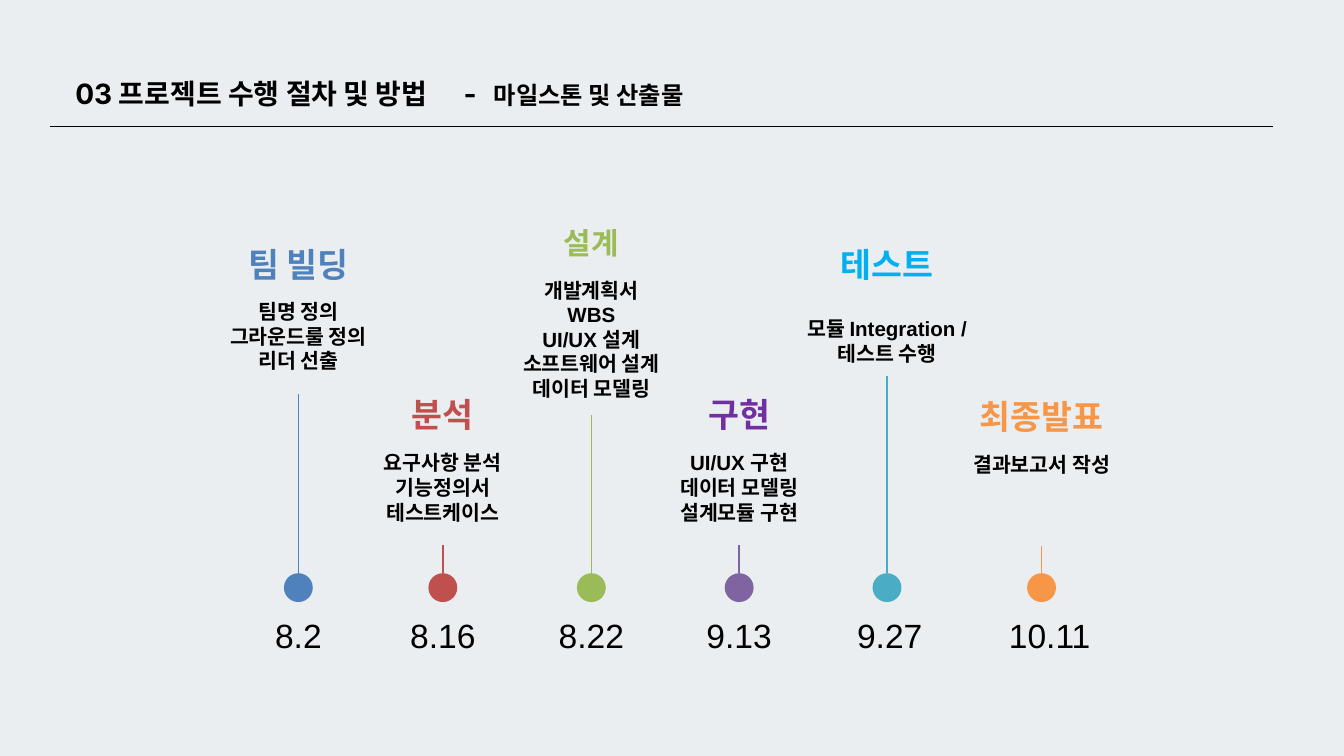
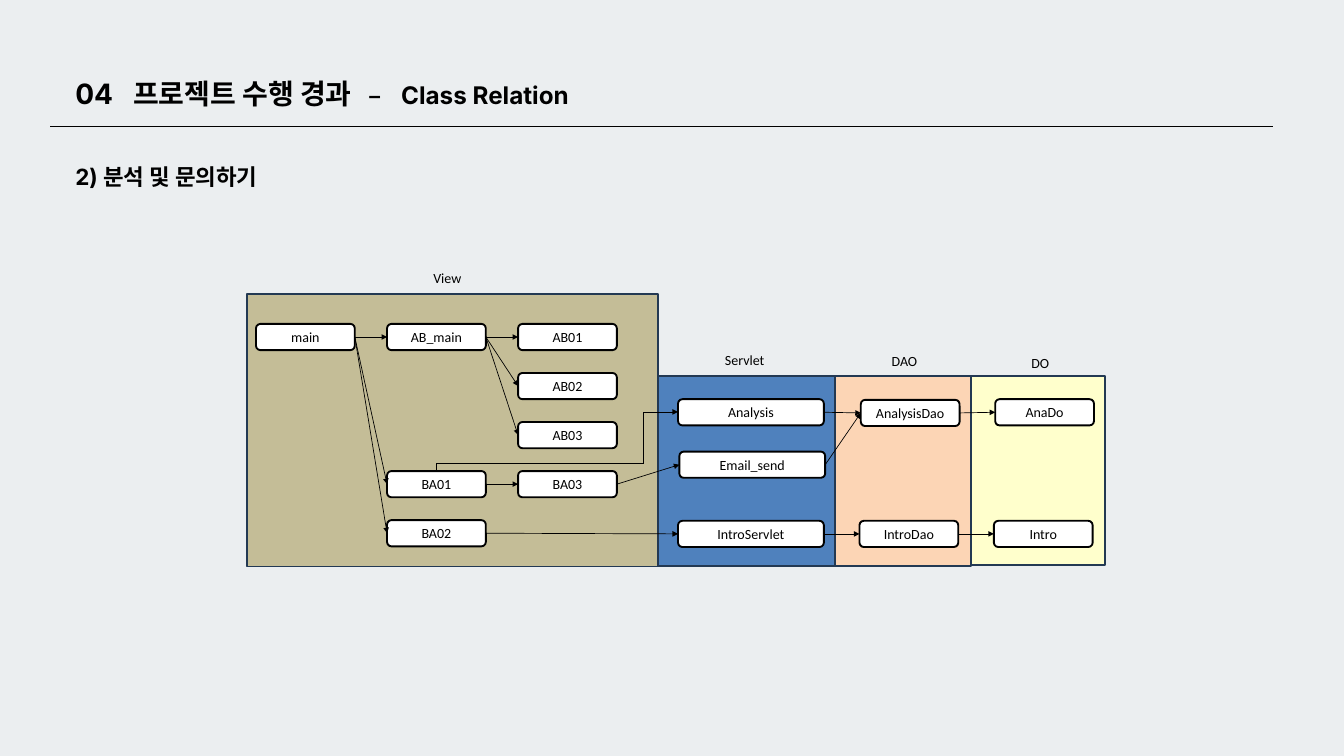
from itertools import pairwise

from lxml import etree
from pptx import Presentation
from pptx.dml.color import RGBColor
from pptx.enum.shapes import MSO_CONNECTOR as Link, MSO_SHAPE as Preset
from pptx.enum.text import MSO_ANCHOR as Anchor, MSO_AUTO_SIZE as AutoSize, PP_ALIGN as Align
from pptx.oxml.ns import qn
from pptx.util import Inches, Pt

COLORS = {
    "background": "EBEEF0", "ink": "000000", "white": "FFFFFF", "lane_edge": "233953",
    "blue": "4F81BD", "red": "C0504D", "green": "9BBB59", "purple": "8064A2",
    "violet": "7030A0", "teal": "4BACC6", "sky": "00B0F0", "orange": "F79646",
    "khaki": "C4BD97", "peach": "FCD5B5", "cream": "FFFFCC",
}
TITLE_ONLY = 5
RIGHT_SITE, LEFT_SITE = 3, 1
TITLE_BOX = (1.12, 1.05, 14.12, 0.55)

# Centre, heading top, list top, stem top, dot colour, heading colour, heading size,
# heading, deliverables, date, shift of the date
MILESTONES = [
    (4.44, 3.61, 4.25, 5.86, "blue", "blue", 36, "팀 빌딩",
     ["팀명 정의", "그라운드룰 정의", "리더 선출"], "8.2", 0),
    (6.59, 5.84, 6.5, 8.11, "red", "red", 36, "분석",
     ["요구사항 분석", "기능정의서", "테스트케이스"], "8.16", 0),
    (8.8, 3.29, 3.93, 6.18, "green", "green", 32, "설계",
     ["개발계획서", "WBS", "UI/UX 설계", "소프트웨어 설계", "데이터 모델링"], "8.22", 0),
    (11, 5.84, 6.5, 8.11, "purple", "violet", 36, "구현",
     ["UI/UX 구현", "데이터 모델링", "설계모듈 구현"], "9.13", 0),
    (13.2, 3.61, 4.5, 5.59, "teal", "sky", 36, "테스트",
     ["모듈 Integration /", "테스트 수행"], "9.27", 0.04),
    (15.5, 5.86, 6.52, 8.13, "orange", "orange", 36, "최종발표",
     ["결과보고서 작성"], "10.11", 0.12),
]

# Lane box, colour, label and label position, all from the corner of the diagram
LANES = [
    ((8.76, 1.21, 2.02, 2.83), "peach", "DAO", (9.5, 0.82)),
    ((6.11, 1.21, 2.64, 2.83), "blue", "Servlet", (7.02, 0.8)),
    ((0, 0, 6.12, 4.05), "khaki", "View", (2.68, -0.42)),
    ((10.78, 1.22, 2, 2.81), "cream", "DO", (11.58, 0.85)),
]
# Classes of the view lane sit on a grid: column, row
VIEW_CLASSES = {
    "main": (0, 0), "AB_main": (1, 0), "AB01": (2, 0), "AB02": (2, 1), "AB03": (2, 2),
    "BA01": (1, 3), "BA03": (2, 3), "BA02": (1, 4),
}
# Classes of the other lanes: left, top, width
SERVER_CLASSES = {
    "Analysis": (6.42, 1.56, 2.17), "Email_send": (6.44, 2.34, 2.17),
    "IntroServlet": (6.42, 3.37, 2.17), "AnalysisDao": (9.14, 1.57, 1.47),
    "IntroDao": (9.12, 3.37, 1.47), "AnaDo": (11.14, 1.56, 1.47),
    "Intro": (11.12, 3.37, 1.47),
}
CALLS = [
    ("main", "AB_main"), ("AB_main", "AB01"), ("AB_main", "AB02"), ("AB_main", "AB03"),
    ("main", "BA01"), ("BA01", "BA03"), ("BA03", "Email_send"),
    ("Email_send", "AnalysisDao"), ("Analysis", "AnalysisDao"), ("AnalysisDao", "AnaDo"),
    ("main", "BA02"), ("BA02", "IntroServlet"), ("IntroServlet", "IntroDao"),
    ("IntroDao", "Intro"),
]
BENT_CALL = [(2.82, 2.64), (2.82, 2.52), (5.9, 2.52), (5.9, 1.75), (6.42, 1.75)]


def rgb(name):
    return RGBColor.from_string(COLORS[name])


def write(shape, paragraphs, size=15, font="Calibri", color="ink", bold=False,
          align=Align.LEFT, anchor=Anchor.TOP, inset=None, spacing=None, tabs=()):
    """Fill a shape; a paragraph is a string or a list of (text, size) runs."""
    frame = shape.text_frame
    frame.word_wrap = True
    frame.auto_size = AutoSize.NONE
    frame.vertical_anchor = anchor
    if inset is not None:
        frame.margin_left = frame.margin_right = Inches(inset)
        frame.margin_top = frame.margin_bottom = Inches(inset)
    for index, content in enumerate(paragraphs):
        paragraph = frame.add_paragraph() if index else frame.paragraphs[0]
        if tabs:
            stops = etree.SubElement(paragraph._p.get_or_add_pPr(), qn("a:tabLst"))
            for stop in tabs:
                etree.SubElement(stops, qn("a:tab"), pos=str(Inches(stop)), algn="l")
        paragraph.alignment = align
        if spacing:
            paragraph.line_spacing = Pt(spacing)
        for text, run_size in [(content, size)] if isinstance(content, str) else content:
            run = paragraph.add_run()
            run.text = text
            run.font.size = Pt(run_size)
            run.font.name = font
            run.font.bold = bold
            run.font.color.rgb = rgb(color)


def add_text(slide, box, paragraphs, **style):
    write(slide.shapes.add_textbox(*map(Inches, box)), paragraphs, **style)


def add_block(slide, preset, box, fill, edge=None):
    block = slide.shapes.add_shape(preset, *map(Inches, box))
    block.shadow.inherit = False
    block.fill.solid()
    block.fill.fore_color.rgb = rgb(fill)
    if edge:
        block.line.color.rgb = rgb(edge)
        block.line.width = Pt(2)
    else:
        block.line.fill.background()
    return block


def add_line(slide, start=(0, 0), end=(0, 0), color="ink", width=0.75, arrow=False):
    line = slide.shapes.add_connector(Link.STRAIGHT, *map(Inches, (*start, *end)))
    line.line.color.rgb = rgb(color)
    line.line.width = Pt(width)
    if arrow:
        etree.SubElement(line.line._get_or_add_ln(), qn("a:tailEnd"), type="triangle")
    etree.SubElement(line._element.spPr, qn("a:effectLst"))
    return line


def add_titled_slide(deck, runs, tabs):
    slide = deck.slides.add_slide(deck.slide_layouts[TITLE_ONLY])
    title = slide.shapes.title
    title.left, title.top, title.width, title.height = map(Inches, TITLE_BOX)
    write(title, [runs], font="Inter", bold=True, inset=0, spacing=42, tabs=tabs)
    add_line(slide, (0.75, 1.88), (18.94, 1.88))
    return slide


def add_milestone(slide, center, heading_top, list_top, stem_top, dot_color,
                  heading_color, heading_size, heading, deliverables, date, date_shift):
    dot_top, dot_size, width, row = 8.53, 0.43, 3.33, 0.65
    left = center - width / 2
    centered = {"font": "Arial", "align": Align.CENTER, "inset": 0.2}

    # Stem and dot
    add_line(slide, (center, stem_top), (center, dot_top), dot_color, 1.5)
    add_block(slide, Preset.OVAL, (center - dot_size / 2, dot_top, dot_size, dot_size),
              dot_color)

    # Date below, deliverables and heading above
    add_text(slide, (center + date_shift - 0.9, dot_top + 0.6, 1.8, row), [date],
             size=36, anchor=Anchor.MIDDLE, **centered)
    add_text(slide, (left, list_top, width, 1.61), deliverables,
             size=22, bold=True, **centered)
    add_text(slide, (left, heading_top, width, row), [heading], size=heading_size,
             color=heading_color, bold=True, anchor=Anchor.MIDDLE, **centered)


def add_class_diagram(slide, left, top):
    # Lanes
    for (x, y, width, height), fill, _, _ in LANES:
        add_block(slide, Preset.RECTANGLE, (left + x, top + y, width, height),
                  fill, "lane_edge")

    # Classes
    places = {name: (0.14 + 1.95 * column, 0.44 + 0.73 * row, 1.47)
              for name, (column, row) in VIEW_CLASSES.items()}
    classes = {}
    for name, (x, y, width) in (places | SERVER_CLASSES).items():
        classes[name] = add_block(slide, Preset.ROUNDED_RECTANGLE,
                                  (left + x, top + y, width, 0.39), "white", "ink")
        write(classes[name], [name], align=Align.CENTER, anchor=Anchor.MIDDLE)

    # Calls between classes
    for caller, callee in CALLS:
        call = add_line(slide, arrow=True)
        call.begin_connect(classes[caller], RIGHT_SITE)
        call.end_connect(classes[callee], LEFT_SITE)
    corners = [(left + x, top + y) for x, y in BENT_CALL]
    for start, end in pairwise(corners):
        add_line(slide, start, end, arrow=end == corners[-1])

    # Lane labels
    for _, _, label, (x, y) in LANES:
        add_text(slide, (left + x, top + y, 0.94, 0.35), [label])


def build_milestones(deck):
    slide = add_titled_slide(
        deck, [("03 프로젝트 수행 절차 및 방법\t-\t", 30), ("마일스톤 및 산출물", 26)],
        tabs=(5.78, 6.23))
    for milestone in MILESTONES:
        add_milestone(slide, *milestone)


def build_class_relation(deck):
    slide = add_titled_slide(
        deck, [("04\t프로젝트 수행 경과", 30), ("\t–\tClass Relation", 26)],
        tabs=(0.86, 4.37, 4.85))
    add_text(slide, (1.12, 2.24, 9.29, 0.52), ["2) 분석 및 문의하기"], size=24,
             font="Inter", bold=True, inset=0, spacing=42)
    add_class_diagram(slide, 3.67, 4.38)


def main():
    deck = Presentation()
    deck.slide_width, deck.slide_height = Inches(20), Inches(11.25)
    backdrop = deck.slide_master.background.fill
    backdrop.solid()
    backdrop.fore_color.rgb = rgb("background")
    build_milestones(deck)
    build_class_relation(deck)
    deck.save("out.pptx")


if __name__ == "__main__":
    main()
